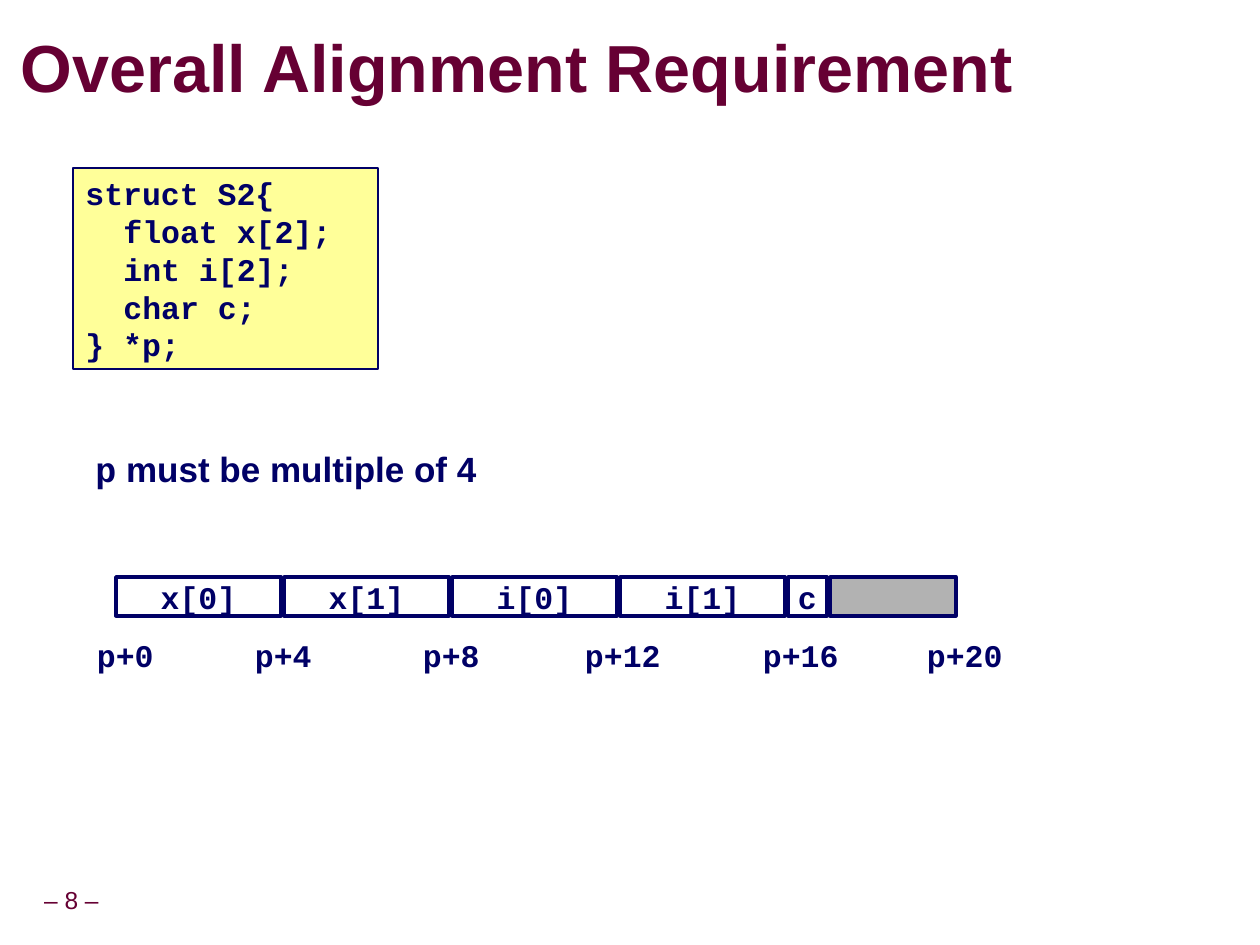
from dataclasses import dataclass

from lxml import etree
from pptx import Presentation
from pptx import util as u
from pptx.dml.color import RGBColor
from pptx.enum import shapes, text
from pptx.oxml.ns import qn

PIXEL = u.Inches(1) // 126
COLORS = {
    "maroon": "660033",
    "navy": "000066",
    "yellow": "FFFF99",
    "white": "FFFFFF",
    "gray": "B2B2B2",
    "shadow": "999999",
}
SANS, MONO = "Arial", "Courier New"
STRUCT_LEFT, BYTE_WIDTH, FIELD_GAP = 116, 42, 3
FIELD_TOP, FIELD_HEIGHT = 577, 39
LABEL_TOP, LABEL_HEIGHT = 630, 50
CODE_INDENT = 38


@dataclass
class Field:
    name: str
    offset: int
    size: int
    fill: str = "white"
    gap: int = FIELD_GAP


@dataclass
class OffsetLabel:
    offset: int
    left: int
    width: int


FIELDS = [
    Field("x[0]", 0, 4),
    Field("x[1]", 4, 4),
    Field("i[0]", 8, 4),
    Field("i[1]", 12, 4),
    Field("c", 16, 1),
    Field("", 17, 3, "gray", 0),
]
LABELS = [
    OffsetLabel(0, 84, 82),
    OffsetLabel(4, 242, 82),
    OffsetLabel(8, 410, 82),
    OffsetLabel(12, 572, 101),
    OffsetLabel(16, 750, 101),
    OffsetLabel(20, 914, 101),
]


def color(name: str) -> RGBColor:
    return RGBColor.from_string(COLORS[name])


def pixels(*lengths: int) -> list[int]:
    return [length * PIXEL for length in lengths]


def format_runs(shape, font: str, size: int, color_name: str = "navy",
                bold: bool = True, align=text.PP_ALIGN.LEFT) -> None:
    for paragraph in shape.text_frame.paragraphs:
        paragraph.alignment = align
        for run in paragraph.runs:
            run.font.name = font
            run.font.size = u.Pt(size)
            run.font.bold = bold
            run.font.color.rgb = color(color_name)


def add_text(slide, content: str, left: int, top: int, width: int, height: int,
             wrap: bool = False):
    shape = slide.shapes.add_textbox(*pixels(left, top, width, height))
    shape.text_frame.text = content
    shape.text_frame.word_wrap = wrap
    return shape


def add_box(slide, content: str, left: int, top: int, width: int, height: int,
            fill: str, line_width: int):
    shape = slide.shapes.add_shape(
        shapes.MSO_SHAPE.RECTANGLE, *pixels(left, top, width, height))
    shape.shadow.inherit = False
    shape.fill.solid()
    shape.fill.fore_color.rgb = color(fill)
    shape.line.color.rgb = color("navy")
    shape.line.width = u.Pt(line_width)
    shape.text_frame.text = content
    return shape


def add_title(slide, content: str) -> None:
    title = slide.shapes.title
    title.left, title.top, title.width, title.height = pixels(21, 32, 1274, 79)
    frame = title.text_frame
    frame.text = content
    frame.margin_left = frame.margin_right = 0
    frame.margin_top = frame.margin_bottom = 0
    frame.vertical_anchor = text.MSO_ANCHOR.MIDDLE
    frame.auto_size = text.MSO_AUTO_SIZE.NONE
    frame.paragraphs[0].line_spacing = 0.87
    format_runs(title, SANS, 38, "maroon")
    properties = frame.paragraphs[0].runs[0].font._element
    effects = etree.Element(qn("a:effectLst"))
    shadow = etree.SubElement(effects, qn("a:outerShdw"), dist="38100", dir="2700000")
    etree.SubElement(shadow, qn("a:srgbClr"), val=COLORS["shadow"])
    properties.find(qn("a:solidFill")).addnext(effects)


def add_code(slide) -> None:
    lines = ["struct S2{", "float x[2];", "int i[2];", "char c;", "} *p;"]
    code = add_box(slide, "\n".join(lines), 73, 168, 305, 201, "yellow", 1)
    code.text_frame.vertical_anchor = text.MSO_ANCHOR.TOP
    format_runs(code, MONO, 18)
    for paragraph in code.text_frame.paragraphs[1:-1]:
        paragraph._p.get_or_add_pPr().set("marL", str(CODE_INDENT * PIXEL))


def add_field(slide, field: Field) -> None:
    box = add_box(slide, field.name, STRUCT_LEFT + field.offset * BYTE_WIDTH, FIELD_TOP,
                  field.size * BYTE_WIDTH - field.gap, FIELD_HEIGHT, field.fill, 2)
    box.text_frame.word_wrap = False
    box.text_frame.vertical_anchor = text.MSO_ANCHOR.MIDDLE
    format_runs(box, MONO, 18, align=text.PP_ALIGN.CENTER)


def add_offset_label(slide, label: OffsetLabel) -> None:
    box = add_text(slide, f"p+{label.offset}", label.left, LABEL_TOP,
                   label.width, LABEL_HEIGHT)
    format_runs(box, MONO, 18, align=text.PP_ALIGN.RIGHT)


def add_requirement(slide) -> None:
    box = add_text(slide, "p", 83, 441, 407, 55, wrap=True)
    box.text_frame.paragraphs[0].add_run().text = " must be multiple of 4"
    format_runs(box, SANS, 20)
    box.text_frame.paragraphs[0].runs[0].font.name = MONO


def add_page_number(slide) -> None:
    box = add_text(slide, "– 8 –", -11, 882, 165, 39)
    box.text_frame.vertical_anchor = text.MSO_ANCHOR.MIDDLE
    box.text_frame.margin_left = box.text_frame.margin_right = u.Inches(0.05)
    box.text_frame.paragraphs[0].line_spacing = 0.9
    format_runs(box, SANS, 14, "maroon", False, text.PP_ALIGN.CENTER)


def main() -> None:
    presentation = Presentation()
    presentation.slide_width, presentation.slide_height = pixels(1260, 945)
    slide = presentation.slides.add_slide(presentation.slide_layouts[5])
    add_page_number(slide)
    add_title(slide, "Overall Alignment Requirement")
    add_code(slide)
    for field in FIELDS:
        add_field(slide, field)
    for label in LABELS:
        add_offset_label(slide, label)
    add_requirement(slide)
    presentation.save("out.pptx")


main()
